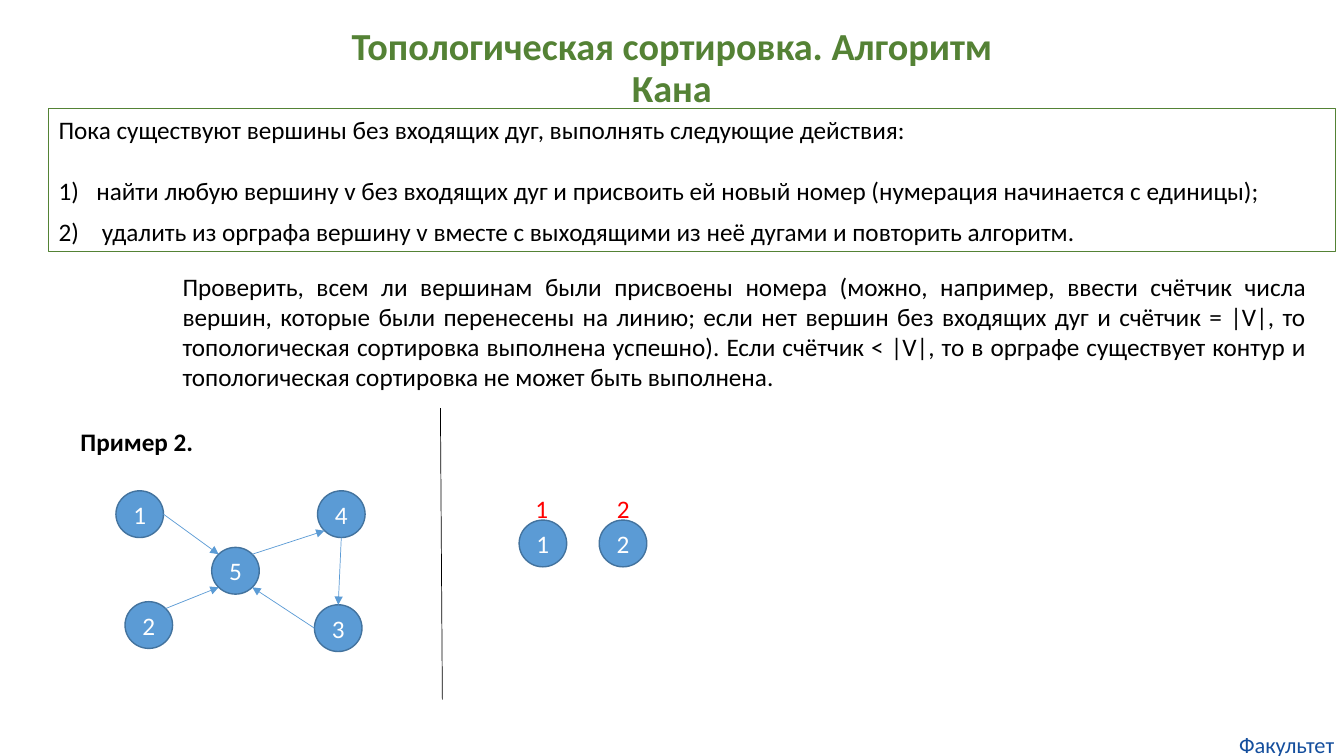
from dataclasses import dataclass
from math import cos, radians, sin

from lxml.etree import SubElement
from pptx import Presentation
from pptx.dml.color import RGBColor
from pptx.enum.shapes import MSO_CONNECTOR as Connector, MSO_SHAPE as Preset
from pptx.enum.text import MSO_ANCHOR as Anchor, MSO_AUTO_SIZE as AutoSize, PP_ALIGN as Align
from pptx.oxml.ns import qn
from pptx.util import Pt

FONT = "Calibri"
BLACK, WHITE, RED = "000000", "FFFFFF", "FF0000"
GREEN, BLUE, DARK_BLUE, NAVY = "548235", "5B9BD5", "43739E", "144E9D"
NODE_WIDTH, NODE_HEIGHT = 34, 33.4

# Directions in degrees, clockwise from the right side of a node
RIGHT, BOTTOM_RIGHT, BOTTOM, BOTTOM_LEFT = 0, 45, 90, 135
LEFT, TOP_LEFT, TOP, TOP_RIGHT = 180, 225, 270, 315


@dataclass(frozen=True)
class Node:
    label: str
    left: float
    top: float

    def rim(self, angle: float) -> tuple[float, float]:
        """Point on the outline of the node in the given direction."""
        return (self.left + NODE_WIDTH / 2 * (1 + cos(radians(angle))),
                self.top + NODE_HEIGHT / 2 * (1 + sin(radians(angle))))


@dataclass(frozen=True)
class Arc:
    source: str
    source_side: float
    target: str
    target_side: float


@dataclass(frozen=True)
class Caption:
    text: str
    box: tuple[float, float, float, float]
    color: str = BLACK
    size: float = 18
    bold: bool = False
    align: Align = Align.LEFT
    wrap: bool = True
    inset: bool = True


@dataclass(frozen=True)
class Step:
    text: str
    align: Align = Align.JUSTIFY
    space_after: float = 8
    indent: float = 0


GRAPH = {node.label: node for node in (
    Node("1", 82.8, 350.6),
    Node("2", 89.3, 429.8),
    Node("3", 224.6, 432),
    Node("4", 226.8, 350.6),
    Node("5", 151.2, 391),
)}
ARCS = (
    Arc("1", RIGHT, "5", TOP_LEFT),
    Arc("2", TOP_RIGHT, "5", BOTTOM_LEFT),
    Arc("5", TOP_RIGHT, "4", BOTTOM_LEFT),
    Arc("4", BOTTOM, "3", TOP),
    Arc("3", LEFT, "5", BOTTOM_RIGHT),
)
SORTED_NODES = (Node("1", 370.8, 371.5), Node("2", 428, 371.5))
STEPS = (
    Step("Пока существуют вершины без входящих дуг, выполнять следующие действия:",
         space_after=22),
    Step("найти любую вершину v без входящих дуг и присвоить ей новый номер "
         "(нумерация начинается с единицы);", indent=27),
    Step("удалить из орграфа вершину v вместе с выходящими из неё дугами и "
         "повторить алгоритм.", Align.LEFT, indent=31),
)
CAPTIONS = (
    Caption("Проверить, всем ли вершинам были присвоены номера (можно, например, ввести "
            "счётчик числа вершин, которые были перенесены на линию; если нет вершин без "
            "входящих дуг и счётчик = |V|, то топологическая сортировка выполнена успешно). "
            "Если счётчик < |V|, то в орграфе существует контур и топологическая сортировка "
            "не может быть выполнена.", (123.3, 190, 817, 94.5), align=Align.JUSTIFY),
    Caption("Пример 2.", (50.4, 301, 100, 29), bold=True, wrap=False),
    Caption("1", (375.3, 348.5, 24, 29), RED, wrap=False),
    Caption("2", (433.5, 348.5, 24, 29), RED, wrap=False),
    Caption("Факультет", (878.4, 522, 81.4, 19.4), NAVY, 16, align=Align.CENTER, inset=False),
)


def rgb(color: str) -> RGBColor:
    return RGBColor.from_string(color)


def apply(target, values: dict) -> None:
    for name, value in values.items():
        setattr(target, name, value)


def place(shape, left: float, top: float, width: float, height: float) -> None:
    apply(shape, {"left": Pt(left), "top": Pt(top), "width": Pt(width), "height": Pt(height)})


def write(paragraph, text: str, color: str = BLACK, size: float = 18,
          bold: bool = False, **layout) -> None:
    run = paragraph.add_run()
    run.text = text
    apply(run.font, {"name": FONT, "size": Pt(size), "bold": bold})
    run.font.color.rgb = rgb(color)
    apply(paragraph, layout)


def set_frame(shape, anchor: Anchor = Anchor.TOP, wrap: bool = True, inset: bool = True):
    frame = shape.text_frame
    apply(frame, {"auto_size": AutoSize.NONE, "word_wrap": wrap, "vertical_anchor": anchor})
    side, edge = (7.2, 3.6) if inset else (0, 0)
    apply(frame, {"margin_left": Pt(side), "margin_right": Pt(side),
                  "margin_top": Pt(edge), "margin_bottom": Pt(edge)})
    return frame


def set_list_format(paragraph, indent: float) -> None:
    properties = paragraph._p.get_or_add_pPr()
    properties.set("marL", str(Pt(indent)))
    properties.set("indent", str(-Pt(indent)))
    if indent:
        SubElement(properties, qn("a:buFont"), typeface=FONT)
        SubElement(properties, qn("a:buAutoNum"), type="arabicParenR")
    else:
        SubElement(properties, qn("a:buNone"))


def add_node(slide, node: Node) -> None:
    shape = slide.shapes.add_shape(Preset.OVAL, Pt(node.left), Pt(node.top),
                                   Pt(NODE_WIDTH), Pt(NODE_HEIGHT))
    shape.shadow.inherit = False
    shape.fill.solid()
    shape.fill.fore_color.rgb = rgb(BLUE)
    shape.line.color.rgb = rgb(DARK_BLUE)
    shape.line.width = Pt(1)
    frame = set_frame(shape, Anchor.MIDDLE, inset=False)
    write(frame.paragraphs[0], node.label, WHITE, alignment=Align.CENTER)


def add_line(slide, start: tuple[float, float], end: tuple[float, float],
             color: str, arrow: bool = False) -> None:
    points = [Pt(value) for value in (*start, *end)]
    line = slide.shapes.add_connector(Connector.STRAIGHT, *points)
    line.line.color.rgb = rgb(color)
    line.line.width = Pt(0.5)
    if arrow:
        SubElement(line.line._get_or_add_ln(), qn("a:tailEnd"), type="triangle")
    SubElement(line._element.spPr, qn("a:effectLst"))


def add_caption(slide, caption: Caption) -> None:
    shape = slide.shapes.add_textbox(*[Pt(value) for value in caption.box])
    frame = set_frame(shape, wrap=caption.wrap, inset=caption.inset)
    write(frame.paragraphs[0], caption.text, caption.color, caption.size, caption.bold,
          alignment=caption.align)


def add_steps(body) -> None:
    place(body, 34.6, 77.8, 919.4, 102.2)
    body.line.color.rgb = rgb(GREEN)
    body.line.width = Pt(0.75)
    frame = set_frame(body)
    for index, step in enumerate(STEPS):
        paragraph = frame.add_paragraph() if index else frame.paragraphs[0]
        write(paragraph, step.text, alignment=step.align, line_spacing=1.0,
              space_before=Pt(0), space_after=Pt(step.space_after))
        set_list_format(paragraph, step.indent)


def main() -> None:
    presentation = Presentation()
    apply(presentation, {"slide_width": Pt(960), "slide_height": Pt(540)})
    slide = presentation.slides.add_slide(presentation.slide_layouts[1])

    # Title and algorithm steps
    title, body = slide.placeholders
    place(title, 218.9, 28.8, 522, 41)
    write(set_frame(title, Anchor.MIDDLE).paragraphs[0],
          "Топологическая сортировка. Алгоритм Кана", GREEN, 27.3, True,
          alignment=Align.CENTER, line_spacing=0.9)
    add_steps(body)

    # Example graph and the nodes already numbered
    for node in (*GRAPH.values(), *SORTED_NODES):
        add_node(slide, node)
    for arc in ARCS:
        add_line(slide, GRAPH[arc.source].rim(arc.source_side),
                 GRAPH[arc.target].rim(arc.target_side), BLUE, arrow=True)
    add_line(slide, (314.6, 291.6), (316, 499.7), BLACK)

    # Explanations and labels
    for caption in CAPTIONS:
        add_caption(slide, caption)

    presentation.save("out.pptx")


if __name__ == "__main__":
    main()
